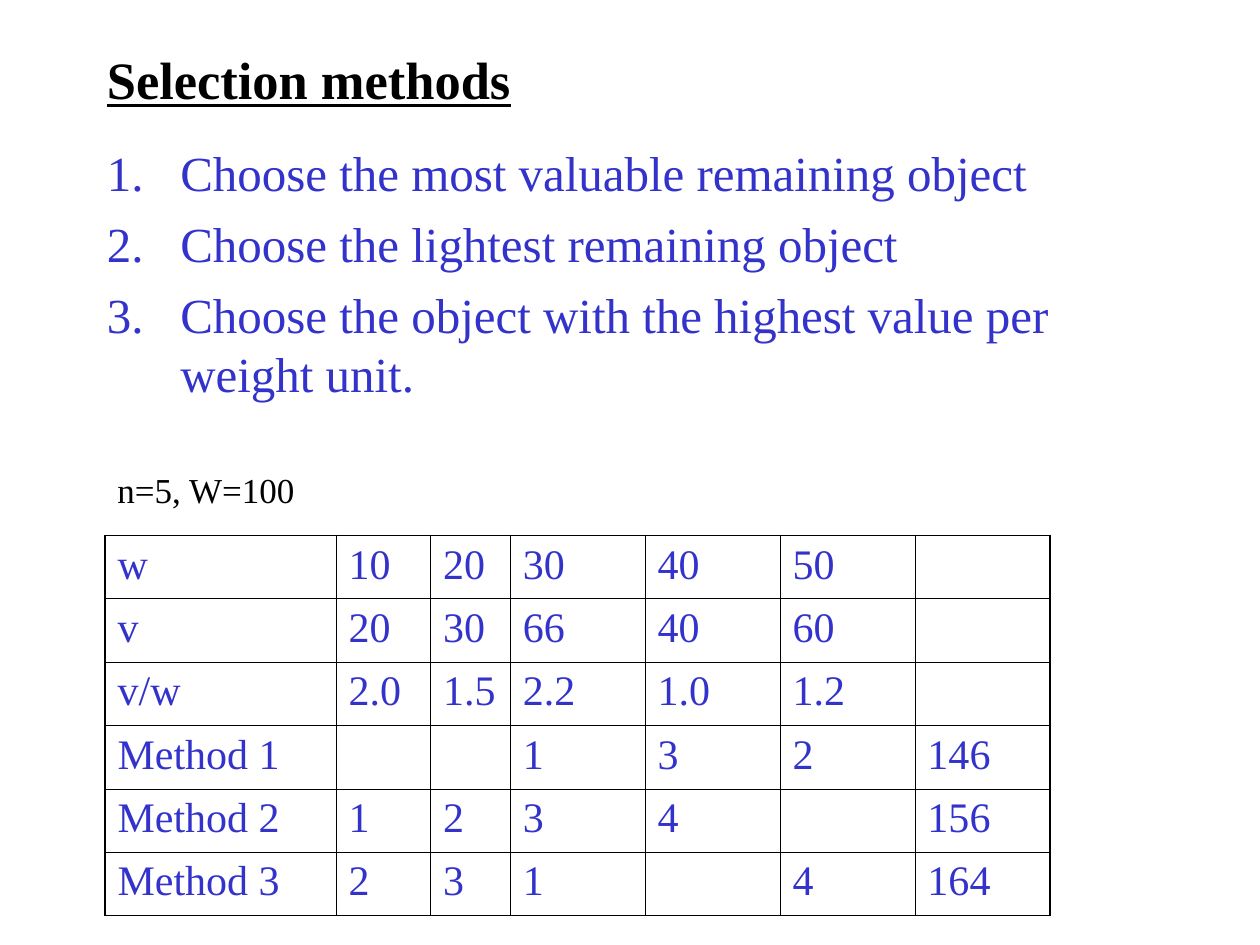
import pptx
import pptx.dml.color
import pptx.enum.text
import pptx.oxml.ns
import pptx.util
from lxml import etree

Pt = pptx.util.Pt
RGBColor = pptx.dml.color.RGBColor
Anchor = pptx.enum.text.MSO_ANCHOR

BLACK = RGBColor(0x00, 0x00, 0x00)
BLUE = RGBColor(0x33, 0x33, 0xCC)
FONT = "Times New Roman"

TITLE = "Selection methods"
METHODS = [
    "Choose the most valuable remaining object",
    "Choose the lightest remaining object",
    "Choose the object with the highest value per weight unit.",
]
PROBLEM_SIZE = "n=5, W=100"
KNAPSACK = [
    ("w", "10", "20", "30", "40", "50", ""),
    ("v", "20", "30", "66", "40", "60", ""),
    ("v/w", "2.0", "1.5", "2.2", "1.0", "1.2", ""),
    ("Method 1", "", "", "1", "3", "2", "146"),
    ("Method 2", "1", "2", "3", "4", "", "156"),
    ("Method 3", "2", "3", "1", "", "4", "164"),
]
COLUMN_WIDTHS = [132, 54, 45.6] + [77.1] * 4
ROW_HEIGHT = 36.2
OUTER_LINE, INNER_LINE = 1.08, 0.45
NUMBER_INDENT = 42


def add_child(parent, tag, **attributes):
    return etree.SubElement(parent, pptx.oxml.ns.qn(tag), attributes)


def write(paragraph, text, size, color, bold=False, underline=False):
    run = paragraph.add_run()
    run.text = text
    font = run.font
    font.name, font.size, font.bold, font.underline = FONT, Pt(size), bold, underline
    font.color.rgb = color


def add_text_frame(slide, left, top, width, height, wrap=True):
    frame = slide.shapes.add_textbox(Pt(left), Pt(top), Pt(width), Pt(height)).text_frame
    frame.word_wrap = wrap
    return frame


def number(paragraph):
    """Give the paragraph a hanging automatic number."""
    properties = paragraph._p.get_or_add_pPr()
    properties.set("marL", str(Pt(NUMBER_INDENT)))
    properties.set("indent", str(-Pt(NUMBER_INDENT)))
    add_child(add_child(properties, "a:buClr"), "a:srgbClr", val=str(BLUE))
    add_child(properties, "a:buAutoNum", type="arabicPeriod")


def set_borders(cell, outer_sides):
    properties = cell._tc.get_or_add_tcPr()
    for side in "LRTB":
        width = OUTER_LINE if side in outer_sides else INNER_LINE
        line = add_child(properties, f"a:ln{side}", w=str(Pt(width)))
        add_child(add_child(line, "a:solidFill"), "a:srgbClr", val=str(BLACK))


def add_knapsack_table(slide, left, top):
    row_count, column_count = len(KNAPSACK), len(COLUMN_WIDTHS)
    table = slide.shapes.add_table(
        row_count, column_count, Pt(left), Pt(top),
        Pt(sum(COLUMN_WIDTHS)), Pt(ROW_HEIGHT * row_count)).table
    table.first_row = table.horz_banding = False
    for column, width in zip(table.columns, COLUMN_WIDTHS):
        column.width = Pt(width)
    for r, values in enumerate(KNAPSACK):
        table.rows[r].height = Pt(ROW_HEIGHT)
        for c, value in enumerate(values):
            cell = table.cell(r, c)
            edges = {"L": c == 0, "R": c == column_count - 1,
                     "T": r == 0, "B": r == row_count - 1}
            set_borders(cell, [side for side, outer in edges.items() if outer])
            cell.fill.background()
            if value:
                paragraph = cell.text_frame.paragraphs[0]
                paragraph.space_before = Pt(6)
                write(paragraph, value, 24, BLUE)


def main():
    deck = pptx.Presentation()
    deck.slide_width, deck.slide_height = Pt(720), Pt(540)
    slide = deck.slides.add_slide(deck.slide_layouts[6])

    title = add_text_frame(slide, 54, 24, 486, 42)
    title.vertical_anchor = Anchor.MIDDLE
    write(title.paragraphs[0], TITLE, 30, BLACK, bold=True, underline=True)

    methods = add_text_frame(slide, 54, 78, 612, 402)
    for i, method in enumerate(METHODS):
        paragraph = methods.add_paragraph() if i else methods.paragraphs[0]
        paragraph.space_before = Pt(7)
        number(paragraph)
        write(paragraph, method, 28, BLUE)

    add_knapsack_table(slide, 60, 306)

    problem_size = add_text_frame(slide, 60, 264, 116, 31.5, wrap=False)
    write(problem_size.paragraphs[0], PROBLEM_SIZE, 20, BLACK)

    deck.save("out.pptx")


if __name__ == "__main__":
    main()
